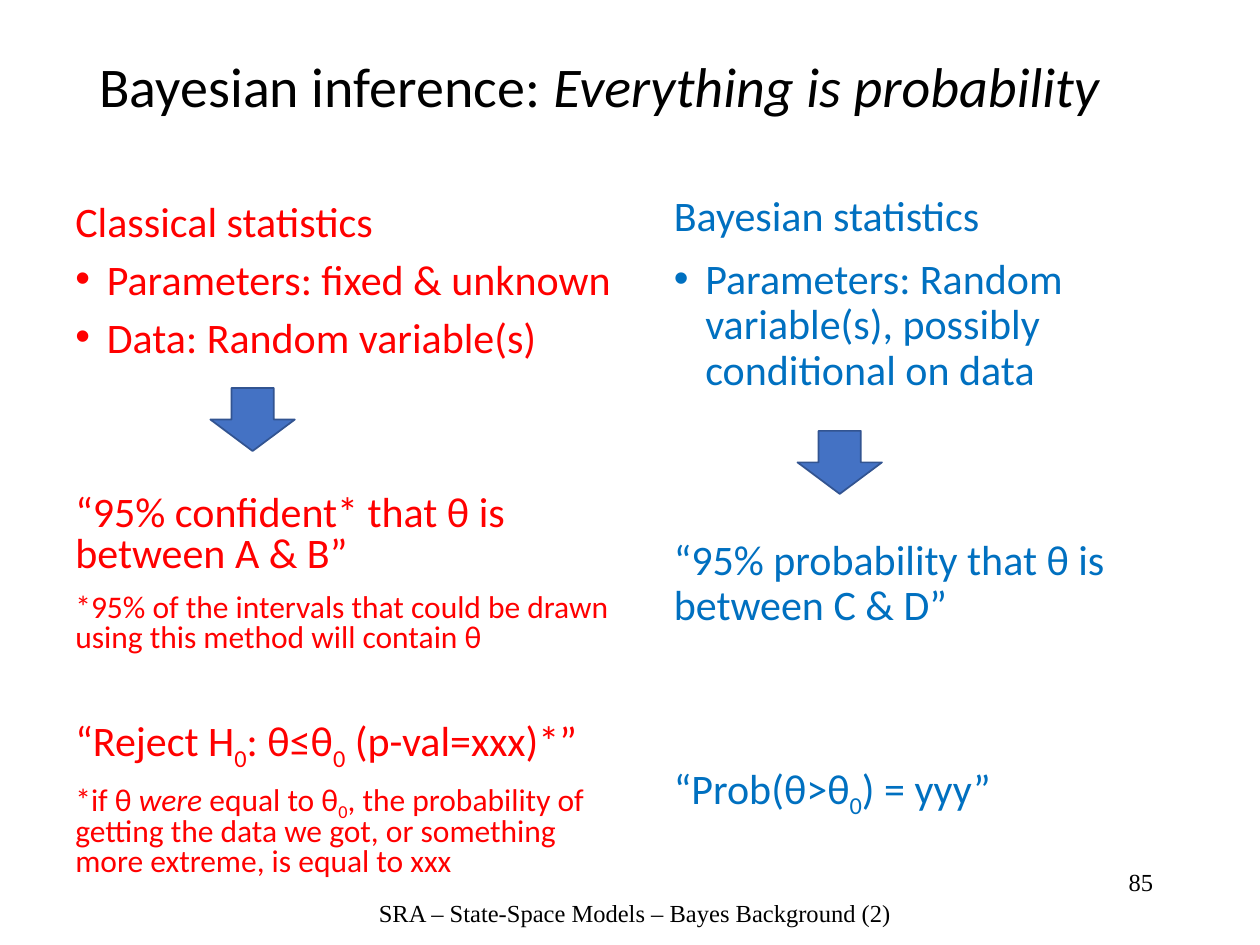
from pptx import Presentation
from pptx.dml.color import RGBColor
from pptx.enum.shapes import MSO_SHAPE
from pptx.enum.text import MSO_ANCHOR, MSO_AUTO_SIZE, PP_ALIGN
from pptx.oxml.ns import qn
from pptx.util import Inches, Pt
from lxml import etree

BLACK = RGBColor(0x00, 0x00, 0x00)
RED = RGBColor(0xFF, 0x00, 0x00)
BLUE = RGBColor(0x00, 0x70, 0xC0)
ARROW_FILL = RGBColor(0x44, 0x72, 0xC4)
ARROW_LINE = RGBColor(0x32, 0x54, 0x91)

# Each paragraph: size, bulleted, space before, runs of (text, style)
CLASSICAL = [
    (24, False, 0, [("Classical statistics", "")]),
    (24, True, 10, [("Parameters: fixed & unknown", "")]),
    (24, True, 10, [("Data: Random variable(s)", "")]),
    (24, False, 76.8, [("“95% confident* that θ is between A & B”", "")]),
    (18, False, 10, [("*95% of the intervals that could be drawn using this "
                      "method will contain θ", "")]),
    (24, False, 37.6, [("“Reject H", ""), ("0", "subscript"), (": θ≤θ", ""),
                       ("0", "subscript"), (" (p-val=xxx)*”", "")]),
    (18, False, 10, [("*if θ ", ""), ("were", "italic"), (" equal to θ", ""),
                     ("0", "subscript"),
                     (", the probability of getting the data we got, or "
                      "something more extreme, is equal to xxx", "")]),
]
BAYESIAN = [
    (24, False, 0, [("Bayesian statistics", "")]),
    (24, True, 10, [("Parameters: Random variable(s), possibly conditional "
                     "on data", "")]),
    (24, False, 82.8, [("“95% probability that θ is between C & D”", "")]),
    (24, False, 76.2, [("“Prob(θ>θ", ""), ("0", "subscript"),
                       (") = yyy”", "")]),
]


class SlideBuilder:
    body_font = "Calibri"
    footer_font = "Times New Roman"

    def __init__(self, presentation):
        self.slide = presentation.slides.add_slide(presentation.slide_layouts[5])

    def add_runs(self, paragraph, runs, size, color):
        for text, style in runs:
            run = paragraph.add_run()
            run.text = text
            run.font.name = self.body_font
            run.font.size = Pt(size)
            run.font.color.rgb = color
            if style == "italic":
                run.font.italic = True
            elif style == "subscript":
                run.font._element.set("baseline", "-25000")

    def add_bullet(self, paragraph):
        properties = paragraph._p.get_or_add_pPr()
        properties.set("marL", str(Inches(0.25)))
        properties.set("indent", str(-Inches(0.25)))
        font = etree.SubElement(properties, qn("a:buFont"))
        font.set("typeface", "Arial")
        etree.SubElement(properties, qn("a:buChar")).set("char", "•")

    def title(self, runs, left, top, width, height):
        title = self.slide.shapes.title
        title.left, title.top = Inches(left), Inches(top)
        title.width, title.height = Inches(width), Inches(height)
        text_frame = title.text_frame
        text_frame.auto_size = MSO_AUTO_SIZE.NONE
        text_frame.vertical_anchor = MSO_ANCHOR.MIDDLE
        paragraph = text_frame.paragraphs[0]
        paragraph.alignment = PP_ALIGN.LEFT
        paragraph.line_spacing = 0.9
        self.add_runs(paragraph, runs, 32, BLACK)

    def text_box(self, left, top, width, height):
        box = self.slide.shapes.add_textbox(
            Inches(left), Inches(top), Inches(width), Inches(height))
        box.text_frame.word_wrap = True
        return box.text_frame

    def column(self, paragraphs, left, top, color, line_spacing):
        text_frame = self.text_box(left, top, 4.5, 5.75)
        for index, (size, bulleted, space_before, runs) in enumerate(paragraphs):
            paragraph = (text_frame.add_paragraph() if index
                         else text_frame.paragraphs[0])
            if bulleted:
                self.add_bullet(paragraph)
            paragraph.line_spacing = line_spacing
            paragraph.space_before = Pt(space_before)
            self.add_runs(paragraph, runs, size, color)

    def down_arrow(self, left, top):
        arrow = self.slide.shapes.add_shape(
            MSO_SHAPE.DOWN_ARROW, Inches(left), Inches(top),
            Inches(0.67), Inches(0.5))
        arrow.shadow.inherit = False
        arrow.fill.solid()
        arrow.fill.fore_color.rgb = ARROW_FILL
        arrow.line.color.rgb = ARROW_LINE
        arrow.line.width = Pt(1)

    def footer(self, text, left, top, width, height, alignment):
        text_frame = self.text_box(left, top, width, height)
        text_frame.text = text
        paragraph = text_frame.paragraphs[0]
        paragraph.alignment = alignment
        font = paragraph.runs[0].font
        font.name = self.footer_font
        font.size = Pt(14)
        font.color.rgb = BLACK


def main():
    presentation = Presentation()
    presentation.slide_width = Inches(10)
    presentation.slide_height = Inches(7.5)

    builder = SlideBuilder(presentation)
    builder.title([("Bayesian inference: ", ""),
                   ("Everything is probability", "italic")],
                  0.69, 0, 8.62, 1.42)
    builder.column(CLASSICAL, 0.5, 1.58, RED, 0.8)
    builder.column(BAYESIAN, 5.25, 1.5, BLUE, 0.9)
    builder.down_arrow(1.67, 3.08)
    builder.down_arrow(6.33, 3.42)
    builder.footer("85", 7.17, 6.83, 2.08, 0.5, PP_ALIGN.RIGHT)
    builder.footer("SRA – State-Space Models – Bayes Background (2)",
                   2.83, 7.08, 4.42, 0.37, PP_ALIGN.CENTER)

    presentation.save("out.pptx")


if __name__ == "__main__":
    main()
